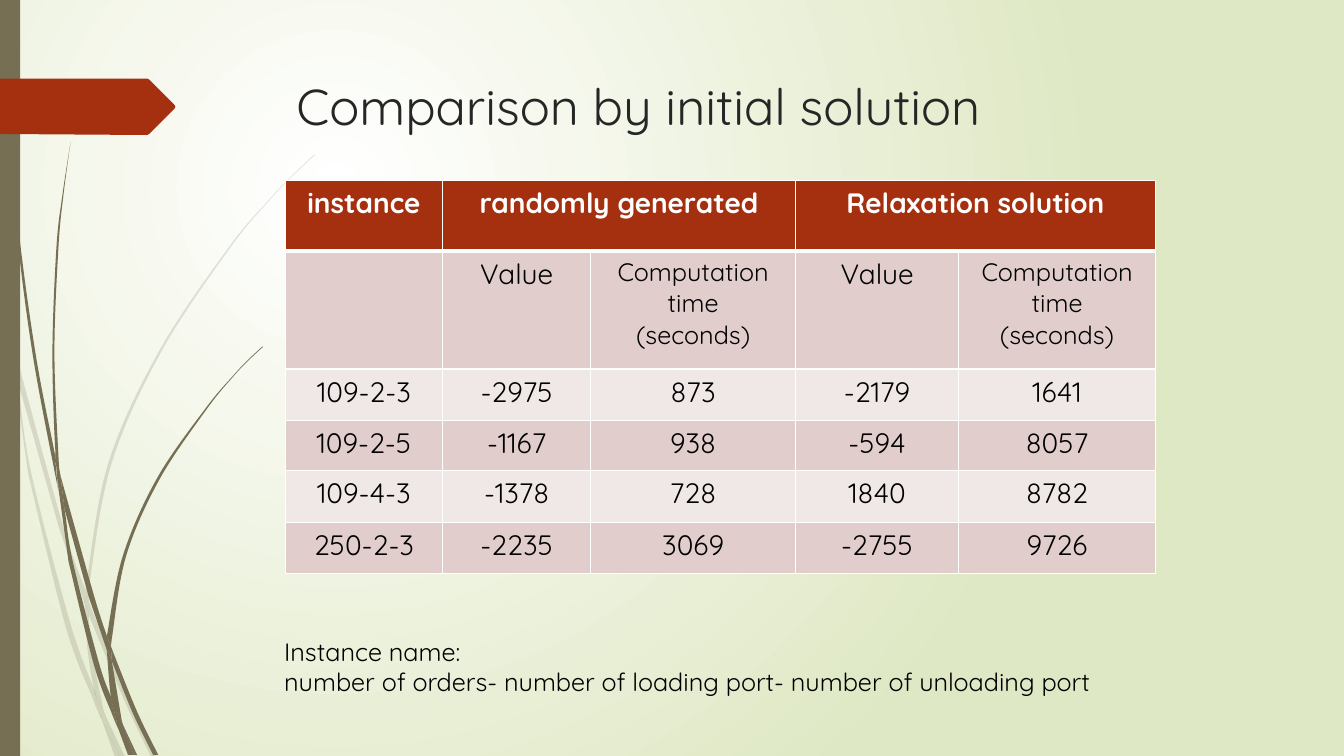
import pptx
import pptx.util
import pptx.dml.color
import pptx.enum.shapes
import pptx.enum.text
import pptx.oxml
import pptx.oxml.ns
import lxml.etree

RGBColor = pptx.dml.color.RGBColor
WHITE = RGBColor(0xFF, 0xFF, 0xFF)
BLACK = RGBColor(0, 0, 0)
INK = RGBColor(0x26, 0x26, 0x26)
GREEN = RGBColor(0xDF, 0xE8, 0xC4)
OLIVE = RGBColor(0x76, 0x6F, 0x54)
RUST = RGBColor(0xA5, 0x30, 0x10)
PINK = RGBColor(0xE1, 0xCD, 0xCC)
PALE = RGBColor(0xF0, 0xE8, 0xE7)

PX = 9144
FONT = "Quicksand"
CENTER = pptx.enum.text.PP_ALIGN.CENTER
qn = pptx.oxml.ns.qn

PALE_GRASS = [
    [[(11, 350), (9, 322), (0, 282)], [(0, 299), (10, 344)]],
    [[(58, 522), (84, 599)], [(85, 586), (62, 520), (14, 345)], [(17, 376), (58, 522)]],
    [[(92, 607), (88, 596)], [(88, 610), (123, 694), (150, 751)],
     [(155, 751), (127, 692), (92, 607)]],
    [[(119, 751), (124, 751)], [(105, 711), (119, 751)]],
    [[(93, 683), (70, 619), (31, 469), (17, 376), (11, 350)],
     [(28, 470), (65, 621), (92, 693), (101, 714)], [(99, 707), (93, 683)]],
    [[(84, 599), (87, 646), (93, 683), (96, 692), (105, 711)],
     [(103, 706), (91, 646), (88, 610)], [(88, 608), (84, 599)]],
    [[(88, 584), (110, 462), (160, 349), (229, 245), (268, 198), (290, 175), (312, 154)],
     [(312, 153), (289, 175), (268, 197), (228, 244), (158, 348), (107, 461), (85, 584)],
     [(85, 586), (88, 596)]],
    [[(101, 714), (114, 751)], [(119, 751), (101, 714)]],
    [[(88, 608), (88, 610)], [(88, 596), (85, 586)], [(84, 599), (88, 608)]],
    [[(96, 692), (93, 683), (99, 707), (101, 714), (119, 751)], [(105, 711), (96, 692)]],
]
DARK_GRASS = [
    [[(7, 110), (17, 233), (33, 355), (56, 477), (57, 481)],
     [(55, 457), (55, 453), (36, 355), (19, 232), (8, 109), (5, 48), (4, 0)],
     [(3, 0), (4, 48), (7, 110)]],
    [[(88, 592), (106, 645)], [(106, 633), (106, 631), (93, 590), (60, 472)],
     [(64, 505), (88, 592)]],
    [[(113, 649), (110, 641)], [(111, 656), (132, 708), (152, 749)],
     [(157, 749), (136, 706), (113, 649)]],
    [[(110, 691), (98, 657), (72, 556), (64, 505), (57, 477)],
     [(68, 557), (93, 659), (111, 708), (117, 722)], [(116, 717), (110, 691)]],
    [[(60, 472), (58, 453), (54, 349), (58, 245), (63, 193), (70, 141)],
     [(70, 141), (62, 193), (56, 245), (52, 349), (55, 449), (60, 472)]],
    [[(133, 749), (136, 749)], [(122, 719), (133, 749)]],
    [[(57, 477), (64, 505)], [(60, 472), (55, 449)], [(55, 453), (57, 477)]],
    [[(111, 633), (125, 552), (158, 476), (205, 406), (231, 374), (245, 359), (261, 344)],
     [(260, 344), (245, 358), (231, 373), (204, 405), (156, 474), (122, 551), (106, 631)],
     [(110, 641), (111, 633)]],
    [[(117, 722), (127, 749)], [(131, 749), (117, 722)]],
    [[(106, 645), (110, 691), (116, 706), (122, 719)], [(121, 716), (111, 656)],
     [(109, 651), (106, 645)]],
    [[(106, 645), (109, 651), (111, 656)], [(110, 641), (106, 631)], [(106, 633), (106, 645)]],
    [[(116, 706), (110, 691), (116, 717), (117, 722), (130, 749)],
     [(133, 749), (122, 719), (116, 706)]],
]
TAG = [[(0, 133), (0, 78)], [(146, 78), (148, 79)],
       [(173, 104), (174, 106), (173, 108)], [(148, 133), (146, 134)]]

COLUMNS = [156, 147, 203, 162, 195]
ROWS = [70, 117, 51, 50, 51, 51]
MEASURES = ["Value", "Computation time\n(seconds)"]
CELLS = [
    ["instance", "randomly generated", "", "Relaxation solution", ""],
    [""] + MEASURES * 2,
    ["109-2-3", "-2975", "873", "-2179", "1641"],
    ["109-2-5", "-1167", "938", "-594", "8057"],
    ["109-4-3", "-1378", "728", "1840", "8782"],
    ["250-2-3", "-2235", "3069", "-2755", "9726"],
]


def box(*lengths):
    return [n * PX for n in lengths]


def write(tf, text, size, color, bold=False, align=None):
    tf.text = text
    for p in tf.paragraphs:
        p.alignment = align
        for r in p.runs:
            r.font.name = FONT
            r.font.size = pptx.util.Pt(size)
            r.font.bold = bold
            r.font.color.rgb = color


def paint(sp, color, alpha=None):
    sp.shadow.inherit = False
    sp.line.fill.background()
    sp.fill.solid()
    sp.fill.fore_color.rgb = color
    if alpha:
        clr = sp.fill._xPr.find(".//" + qn("a:srgbClr"))
        lxml.etree.SubElement(clr, qn("a:alpha")).set("val", str(alpha * 1000))


def add_background(s):
    fill = s.background.fill
    fill.gradient()
    for stop, color, position in zip(fill.gradient_stops, (WHITE, GREEN), (0, 1)):
        stop.color.rgb = color
        stop.position = position
    grad = s.background._cSld.find(".//" + qn("a:gradFill"))
    grad.replace(grad.find(qn("a:lin")), pptx.oxml.parse_xml(
        '<a:path %s path="circle"><a:fillToRect l="50000" t="50000" r="100000" b="100000"/></a:path>'
        % pptx.oxml.ns.nsdecls("a")))


def handle(point, before, after):
    return tuple(p + (a - b) / 6 for p, b, a in zip(point, before, after))


def curve_points(side):
    ends = [side[0]] + side + [side[-1]]
    points = []
    for a, b, c, d in zip(ends, ends[1:], ends[2:], ends[3:]):
        points += [handle(b, a, c), handle(c, d, b), c]
    return points


def add_outline(s, sides, color, alpha=None):
    start = sides[0][0]
    points, last = [], start
    for side in sides:
        if side[0] != last:
            points += [last, side[0], side[0]]
        points += curve_points(side)
        last = side[-1]
    if last != start:
        points += [last, start, start]
    builder = s.shapes.build_freeform(*box(*start))
    builder.add_line_segments([(round(x * PX), round(y * PX)) for x, y in points])
    sp = builder.convert_to_shape()
    lines = sp._element.findall(".//" + qn("a:lnTo"))
    for first, second, third in zip(lines[::3], lines[1::3], lines[2::3]):
        curve = lxml.etree.Element(qn("a:cubicBezTo"))
        first.addprevious(curve)
        for line in (first, second, third):
            curve.append(line[0])
            line.getparent().remove(line)
    paint(sp, color, alpha)


def add_bar(s, at, color):
    sp = s.shapes.add_shape(pptx.enum.shapes.MSO_SHAPE.RECTANGLE, *box(*at))
    paint(sp, color)


def add_border(cell, side, width):
    pr = cell._tc.get_or_add_tcPr()
    ln = pptx.oxml.parse_xml(
        '<a:%s %s w="%d"><a:solidFill><a:srgbClr val="%s"/></a:solidFill></a:%s>'
        % (side, pptx.oxml.ns.nsdecls("a"), width * 12700, WHITE, side))
    pr.insert(len(pr) - 1, ln)


def add_results(s):
    frame = s.shapes.add_table(len(ROWS), len(COLUMNS),
                               *box(283, 179, sum(COLUMNS), sum(ROWS)))
    table = frame.table
    for column, width in zip(table.columns, COLUMNS):
        column.width = width * PX
    for row, height in zip(table.rows, ROWS):
        row.height = height * PX
    for i, texts in enumerate(CELLS):
        for j, text in enumerate(texts):
            cell = table.cell(i, j)
            size = 18 if "\n" in text else 20
            write(cell.text_frame, text, size, BLACK if i else WHITE, i == 0, CENTER)
            cell.fill.solid()
            cell.fill.fore_color.rgb = (PINK if i % 2 else PALE) if i else RUST
            for side in ("lnL", "lnR", "lnT", "lnB"):
                thick = (i, side) in ((0, "lnB"), (1, "lnT"))
                add_border(cell, side, 3 if thick else 1)
    for j in (1, 3):
        table.cell(0, j).merge(table.cell(0, j + 1))


def add_title(s):
    sp = s.shapes.title
    sp.left, sp.top, sp.width, sp.height = box(284, 69, 975, 140)
    tf = sp.text_frame
    tf.vertical_anchor = pptx.enum.text.MSO_ANCHOR.TOP
    write(tf, "Comparison by initial solution", 36, INK,
          align=pptx.enum.text.PP_ALIGN.LEFT)


def add_note(s, text, at):
    tf = s.shapes.add_textbox(*box(*at)).text_frame
    tf.word_wrap = True
    write(tf, text, 18, BLACK)


def main():
    prs = pptx.Presentation()
    prs.slide_width, prs.slide_height = pptx.util.Inches(13.33), pptx.util.Inches(7.5)
    s = prs.slides.add_slide(prs.slide_layouts[5])
    add_background(s)
    for sides in PALE_GRASS:
        add_outline(s, sides, OLIVE, 20)
    for sides in DARK_GRASS:
        add_outline(s, sides, OLIVE)
    add_bar(s, (0, 0, 20, 750), OLIVE)
    add_outline(s, TAG, RUST)
    add_title(s)
    add_results(s)
    add_note(s, "Instance name:\nnumber of orders- number of loading port- number of unloading port",
             (272, 626, 874, 71))
    prs.save("out.pptx")


if __name__ == "__main__":
    main()
